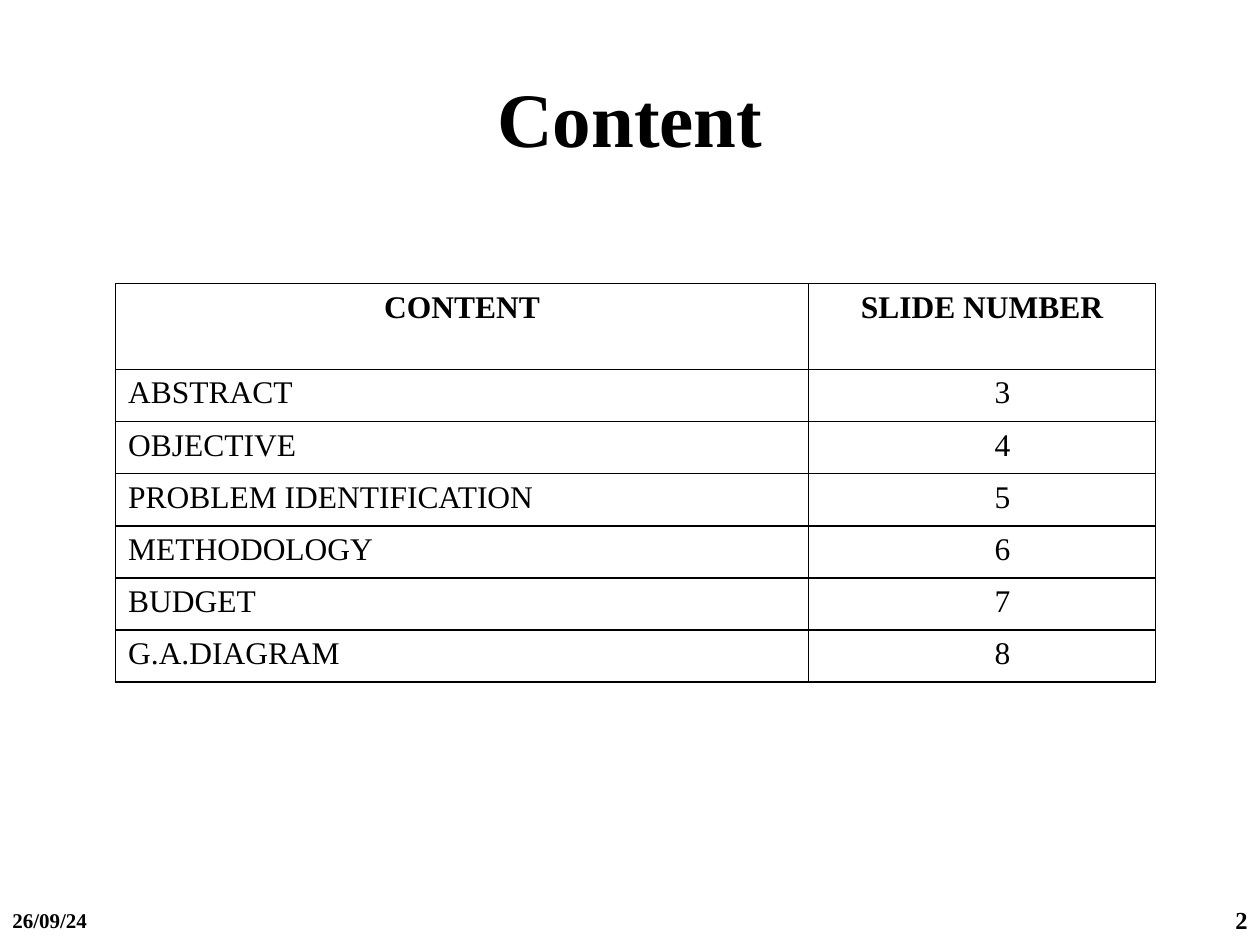
import pptx
import pptx.dml.color
import pptx.enum.text
import pptx.oxml
import pptx.oxml.ns
import pptx.util

Cm = pptx.util.Cm
ALIGN = pptx.enum.text.PP_ALIGN
BLACK = pptx.dml.color.RGBColor(0, 0, 0)
WHITE = pptx.dml.color.RGBColor(255, 255, 255)
FONT = "Times New Roman"
HEADS = ["CONTENT", "SLIDE NUMBER"]
TOPICS = ["ABSTRACT", "OBJECTIVE", "PROBLEM IDENTIFICATION",
          "METHODOLOGY", "BUDGET", "G.A.DIAGRAM"]
FIRST = 3


def write(frame, text, size, bold, align):
    para = frame.paragraphs[0]
    para.alignment = align
    run = para.add_run()
    run.text = text
    run.font.name = FONT
    run.font.size = pptx.util.Pt(size)
    run.font.bold = bold
    run.font.color.rgb = BLACK


def label(slide, text, left, top, width, height, size, align):
    box = slide.shapes.add_textbox(Cm(left), Cm(top), Cm(width), Cm(height))
    frame = box.text_frame
    frame.word_wrap = True
    frame.vertical_anchor = pptx.enum.text.MSO_ANCHOR.MIDDLE
    write(frame, text, size, True, align)


def border(cell):
    props = cell._tc.get_or_add_tcPr()
    space = pptx.oxml.ns.nsdecls("a")
    for spot, side in enumerate(("lnL", "lnR", "lnT", "lnB")):
        line = pptx.oxml.parse_xml(
            f'<a:{side} {space} w="12700"><a:solidFill>'
            f'<a:srgbClr val="{BLACK}"/></a:solidFill></a:{side}>')
        props.insert(spot, line)


def fill(cell, text, bold, align):
    cell.fill.solid()
    cell.fill.fore_color.rgb = WHITE
    border(cell)
    write(cell.text_frame, text, 18, bold, align)


def index(slide):
    count = len(TOPICS) + 1
    table = slide.shapes.add_table(
        count, 2, Cm(2.33), Cm(5.72), Cm(20.96), Cm(8.05)).table
    for col, width in zip(table.columns, (13.97, 6.99)):
        col.width = Cm(width)
    for row in table.rows:
        row.height = Cm(1.05)
    table.rows[0].height = Cm(1.73)
    for col, head in enumerate(HEADS):
        fill(table.cell(0, col), head, True, ALIGN.CENTER)
    for row, topic in enumerate(TOPICS, 1):
        fill(table.cell(row, 0), topic, False, ALIGN.LEFT)
        page = table.cell(row, 1)
        page.margin_left = Cm(3.75)
        fill(page, str(FIRST + row - 1), False, ALIGN.LEFT)


def main():
    """Build the content slide and save it."""
    deck = pptx.Presentation()
    deck.slide_width = Cm(25.4)
    deck.slide_height = Cm(19.05)
    slide = deck.slides.add_slide(deck.slide_layouts[6])
    label(slide, "Content", 1.27, 0.76, 22.86, 3.18, 44, ALIGN.CENTER)
    label(slide, "26/09/24", 0, 18.03, 5.92, 1.02, 12, ALIGN.LEFT)
    label(slide, "2", 19.48, 18.03, 5.92, 1.02, 14, ALIGN.RIGHT)
    index(slide)
    deck.save("out.pptx")


if __name__ == "__main__":
    main()
